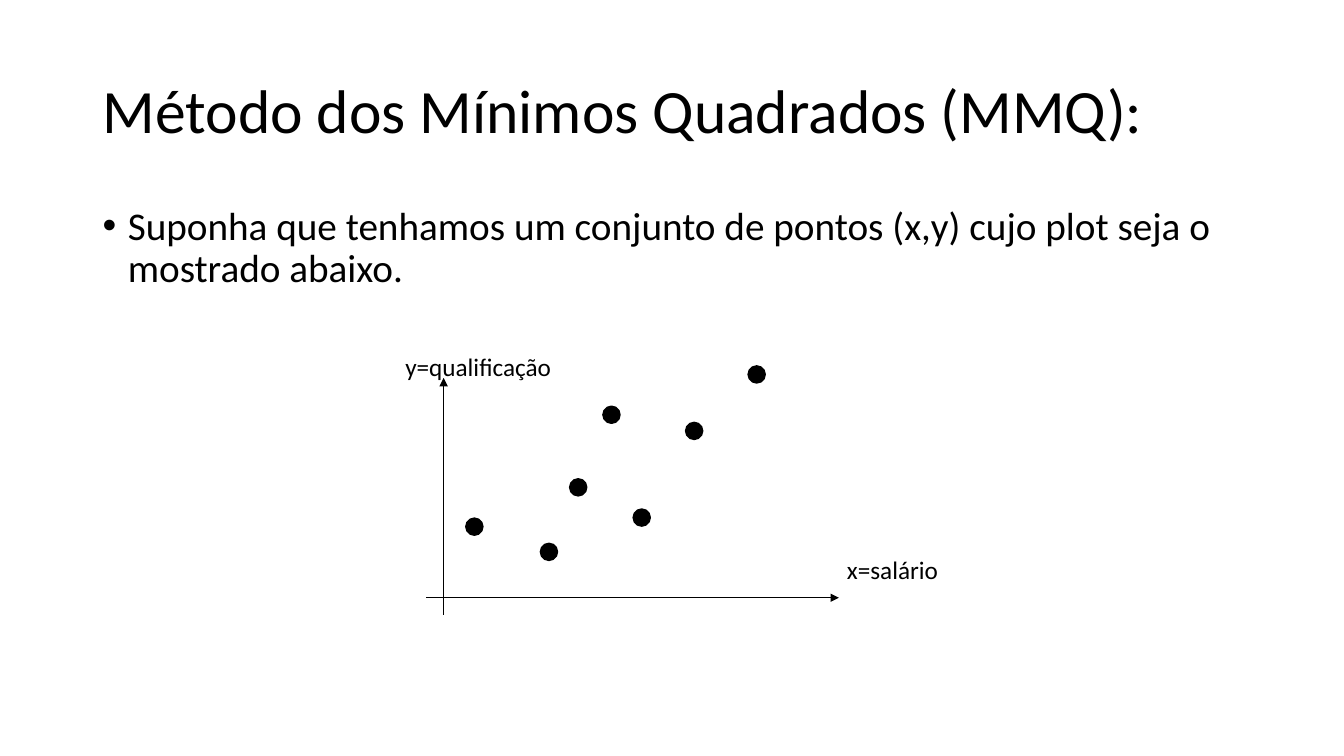
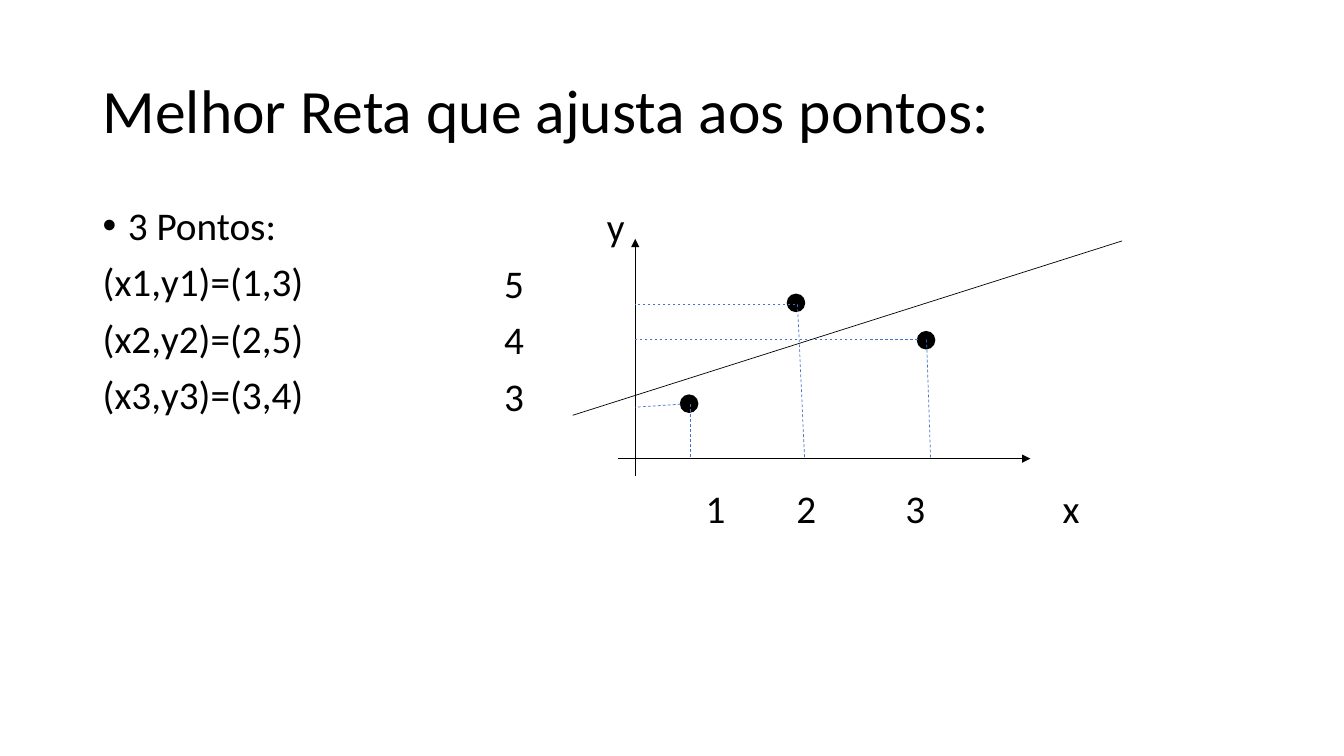
"""Builds two slides on the least squares method, each with a scatter sketch."""
from lxml import etree
from pptx import Presentation
from pptx.dml.color import RGBColor
from pptx.enum.dml import MSO_LINE
from pptx.enum.shapes import MSO_CONNECTOR, MSO_SHAPE
from pptx.enum.text import MSO_ANCHOR
from pptx.oxml.ns import qn
from pptx.util import Inches, Pt

STRAIGHT = MSO_CONNECTOR.STRAIGHT
ELLIPSE = MSO_SHAPE.OVAL
MIDDLE = MSO_ANCHOR.MIDDLE
TOP = MSO_ANCHOR.TOP
DASH = MSO_LINE.DASH

FONT = "Calibri"
COLORS = {"ink": "000000", "guide": "4472C4", "background": "FFFFFF"}
TITLE_SIZE, BODY_SIZE, CAPTION_SIZE = 44, 28, 18
DOT_SIZE = 0.17
BULLET_INDENT = Inches(0.25)

SLIDES = [
    {
        "title": "Método dos Mínimos Quadrados (MMQ):",
        "body": ["Suponha que tenhamos um conjunto de pontos (x,y) "
                 "cujo plot seja o mostrado abaixo."],
        "origin": (4.4, 5.93),
        "dots": [(4.62, 5.14), (5.65, 4.75), (6.8, 4.19), (5.36, 5.39),
                 (6.28, 5.05), (5.98, 4.03), (7.42, 3.63)],
        "guides": [],
        "fit": [],
        "label_size": CAPTION_SIZE,
        "labels": [("y=qualificação", 4.02, 3.49), ("x=salário", 8.4, 5.5)],
    },
    {
        "title": "Melhor Reta que ajusta aos pontos:",
        "body": ["3 Pontos:", "(x1,y1)=(1,3)", "(x2,y2)=(2,5)", "(x3,y3)=(3,4)"],
        "origin": (6.3, 4.55),
        "dots": [(6.75, 3.92), (7.81, 2.92), (9.1, 3.29)],
        "guides": [((6.85, 4.01), (6.85, 4.55)), ((7.91, 3.02), (7.98, 4.55)),
                   ((9.19, 3.37), (9.23, 4.55)), ((7.89, 3.02), (6.3, 3.02)),
                   ((9.1, 3.37), (6.3, 3.37)), ((6.75, 4.01), (6.3, 4.04))],
        "fit": [((5.68, 4.12), (11.13, 2.39))],
        "label_size": BODY_SIZE,
        "labels": [("y", 6.02, 2.01)]
        + [(value, 5, 2.57 + 0.56 * row) for row, value in enumerate("543")]
        + [(value, left, 4.8) for value, left in zip("123x", (7, 7.9, 8.98, 10.54))],
    },
]


def add_text(slide, lines, left, top, width, height, size, anchor=TOP, inset=(0.1, 0.05)):
    box = slide.shapes.add_textbox(Inches(left), Inches(top), Inches(width), Inches(height))
    frame = box.text_frame
    frame.word_wrap = True
    frame.vertical_anchor = anchor
    frame.margin_left = frame.margin_right = Inches(inset[0])
    frame.margin_top = frame.margin_bottom = Inches(inset[1])
    frame.text = "\n".join(lines)
    for paragraph in frame.paragraphs:
        for run in paragraph.runs:
            run.font.name = FONT
            run.font.size = Pt(size)
            run.font.color.rgb = RGBColor.from_string(COLORS["ink"])
    return frame


def add_line(slide, start, end, color="ink", dashed=False, arrow=False):
    connector = slide.shapes.add_connector(STRAIGHT, *map(Inches, start + end))
    connector.line.color.rgb = RGBColor.from_string(COLORS[color])
    connector.line.width = Pt(0.5)
    if dashed:
        connector.line.dash_style = DASH
    properties = connector.element.spPr
    if arrow:
        outline = properties.find(qn("a:ln"))
        etree.SubElement(outline, qn("a:tailEnd"), type="triangle")
    etree.SubElement(properties, qn("a:effectLst"))


presentation = Presentation()
presentation.slide_width = Inches(13.33)
presentation.slide_height = Inches(7.5)

for content in SLIDES:
    slide = presentation.slides.add_slide(presentation.slide_layouts[6])
    slide.background.fill.solid()
    slide.background.fill.fore_color.rgb = RGBColor.from_string(COLORS["background"])

    title = add_text(slide, [content["title"]], 0.92, 0.4, 11.5, 1.45, TITLE_SIZE, MIDDLE)
    title.paragraphs[0].line_spacing = 0.9

    body = add_text(slide, content["body"], 0.92, 2, 11.5, 4.76, BODY_SIZE)
    for paragraph in body.paragraphs:
        paragraph.line_spacing = 0.9
        paragraph.space_before = Pt(10)
    bullet = body.paragraphs[0]._p.get_or_add_pPr()
    bullet.set("marL", str(BULLET_INDENT))
    bullet.set("indent", str(-BULLET_INDENT))
    etree.SubElement(bullet, qn("a:buFont"), typeface="Arial")
    etree.SubElement(bullet, qn("a:buChar"), char="•")

    x, y = content["origin"]
    add_line(slide, (x - 0.17, y), (x + 3.92, y), arrow=True)
    add_line(slide, (x, y + 0.17), (x, y - 2.18), arrow=True)

    for left, top in content["dots"]:
        dot = slide.shapes.add_shape(
            ELLIPSE, Inches(left), Inches(top), Inches(DOT_SIZE), Inches(DOT_SIZE))
        dot.shadow.inherit = False
        dot.fill.solid()
        dot.fill.fore_color.rgb = RGBColor.from_string(COLORS["ink"])
        dot.line.color.rgb = RGBColor.from_string(COLORS["ink"])
        dot.line.width = Pt(1)

    for start, end in content["guides"]:
        add_line(slide, start, end, "guide", dashed=True)
    for start, end in content["fit"]:
        add_line(slide, start, end)

    size = content["label_size"]
    for text, left, top in content["labels"]:
        width = 0.3 if len(text) == 1 else 1.6
        add_text(slide, [text], left, top, width, size / 60, size, inset=(0, 0))

presentation.save("out.pptx")
